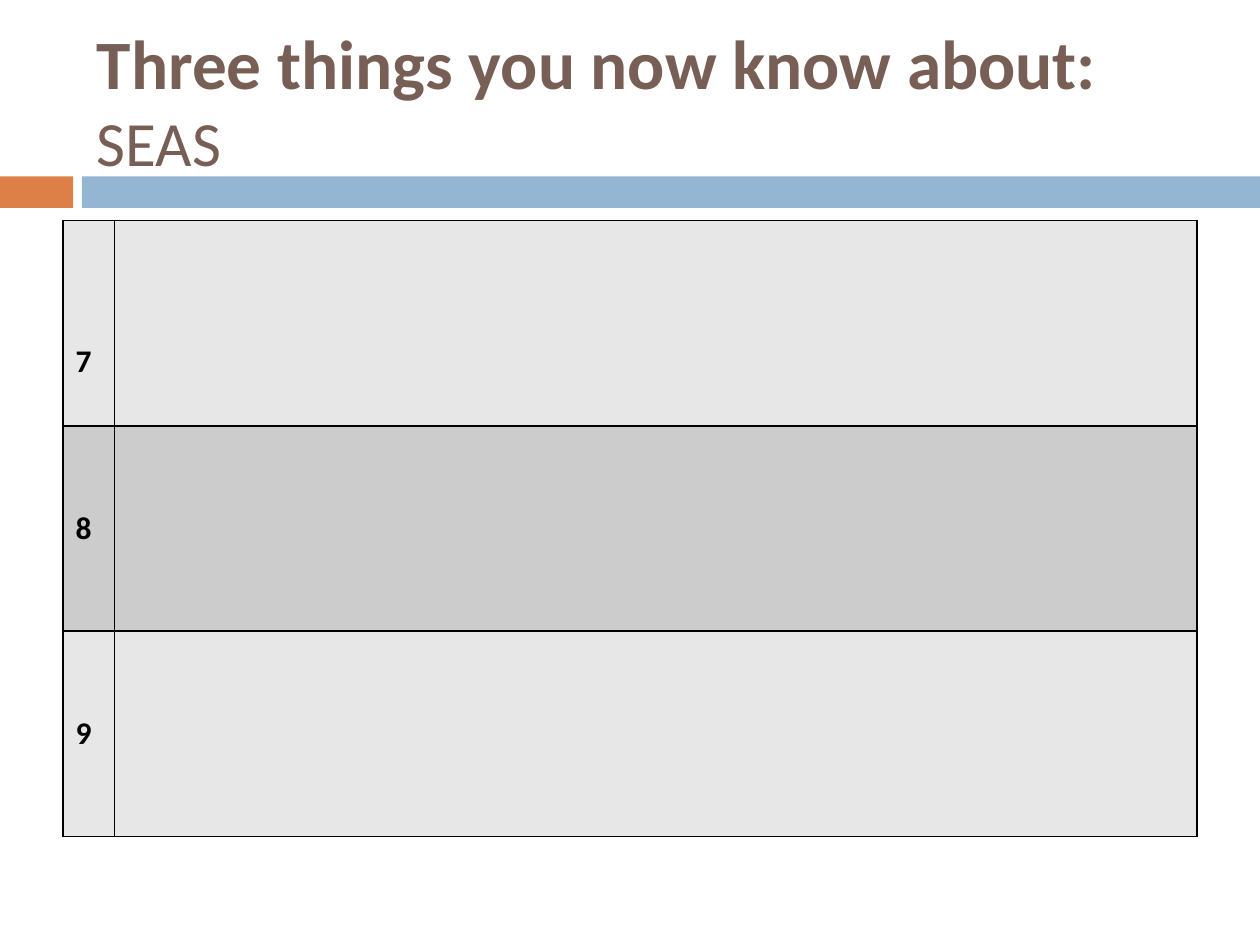
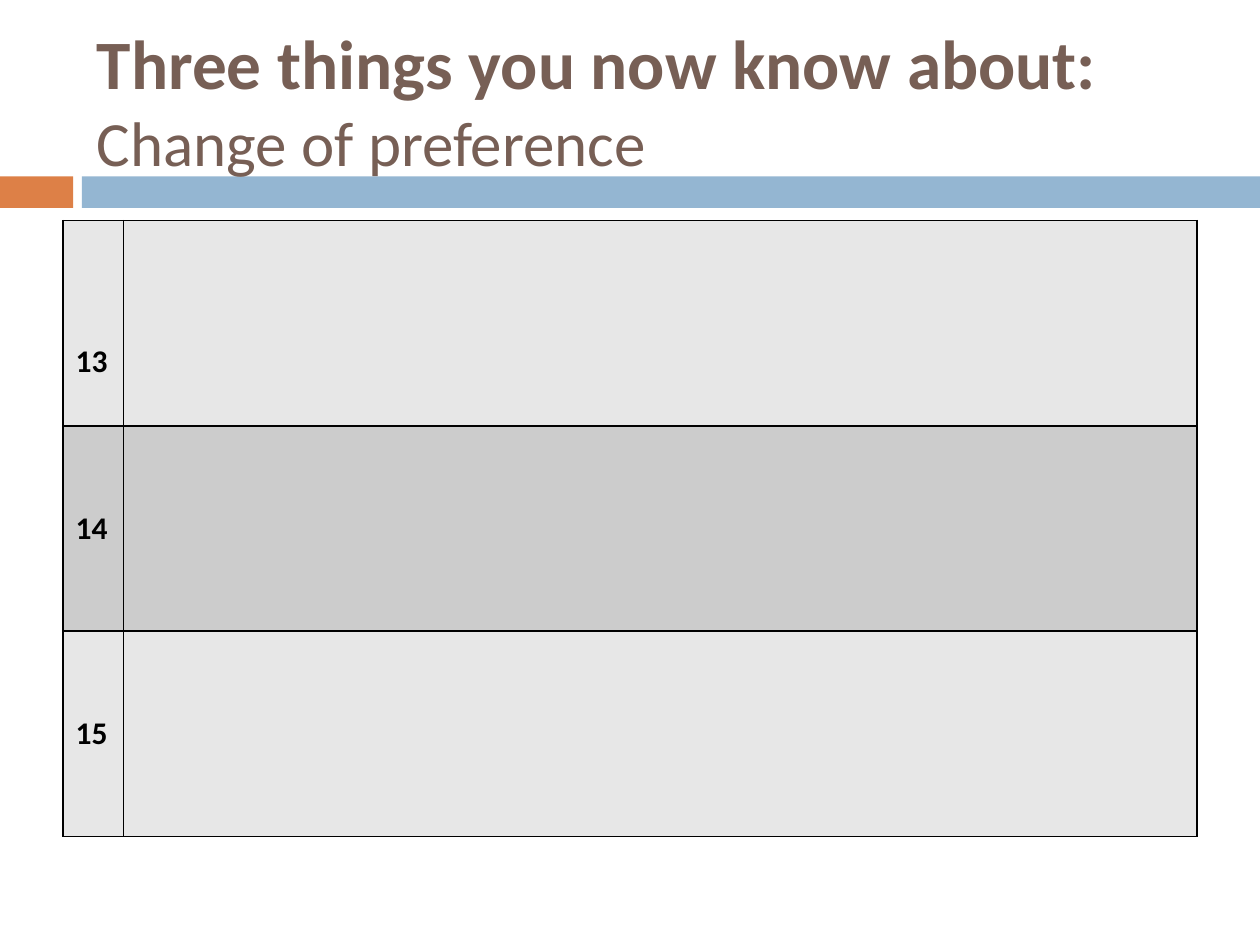
from pptx import Presentation
from pptx.util import Inches, Pt
from pptx.dml.color import RGBColor as RGB
from pptx.enum.shapes import MSO_SHAPE as Shape
from pptx.enum.text import MSO_ANCHOR as Anchor
from lxml.etree import SubElement as Sub

NS = "{http://schemas.openxmlformats.org/drawingml/2006/main}"
BANDS = [(0, 0.58, "DD8047"), (0.65, 9.35, "94B6D2")]
FILLS = ["E7E7E7", "CCCCCC", "E7E7E7"]
LINES = [3, 2, 2]
TOPICS = [("SEAS", 7, 0.41), ("Change of preference", 13, 0.48)]
WIDE, HIGH, STEP = 9, 1.63, 0.305


def paint(fill, color):
    fill.solid()
    fill.fore_color.rgb = RGB.from_string(color)


def style(run, size, color, bold):
    font = run.font
    font.name, font.size, font.bold = "Calibri", Pt(size), bold
    paint(font.fill, color)


deck = Presentation()
deck.slide_width, deck.slide_height = Inches(10), Inches(7.5)

for topic, first, narrow in TOPICS:
    slide = deck.slides.add_slide(deck.slide_layouts[6])
    for left, width, color in BANDS:
        band = slide.shapes.add_shape(Shape.RECTANGLE, Inches(left), Inches(1.4), Inches(width), Inches(0.25))
        band.shadow.inherit = False
        paint(band.fill, color)
        band.line.fill.background()

    box = slide.shapes.add_textbox(Inches(0.67), Inches(0.25), Inches(8.92), Inches(1.08))
    frame = box.text_frame
    frame.word_wrap = True
    frame.vertical_anchor = Anchor.MIDDLE
    title = frame.paragraphs[0]
    title.text = f"Three things you now know about:\v{topic}"
    head, tail = title.runs
    style(head, 39.6, "775F55", True)
    style(tail, 36, "775F55", False)

    table = slide.shapes.add_table(3, 2, Inches(0.5), Inches(1.75), Inches(WIDE), Inches(3 * HIGH)).table
    table.columns[0].width = Inches(narrow)
    table.columns[1].width = Inches(WIDE - narrow)
    for row, (color, lines) in enumerate(zip(FILLS, LINES)):
        table.rows[row].height = Inches(HIGH)
        label = table.cell(row, 0)
        label.text_frame.text = str(first + row)
        style(label.text_frame.paragraphs[0].runs[0], 18, "000000", True)
        label.margin_top = Inches(0.05 + lines * STEP)
        for cell in table.rows[row].cells:
            props = cell._tc.get_or_add_tcPr()
            for side in ("lnL", "lnR", "lnT", "lnB"):
                edge = Sub(props, NS + side, w=str(Pt(1)))
                Sub(Sub(edge, NS + "solidFill"), NS + "srgbClr", val="000000")
            paint(cell.fill, color)

deck.save("out.pptx")
